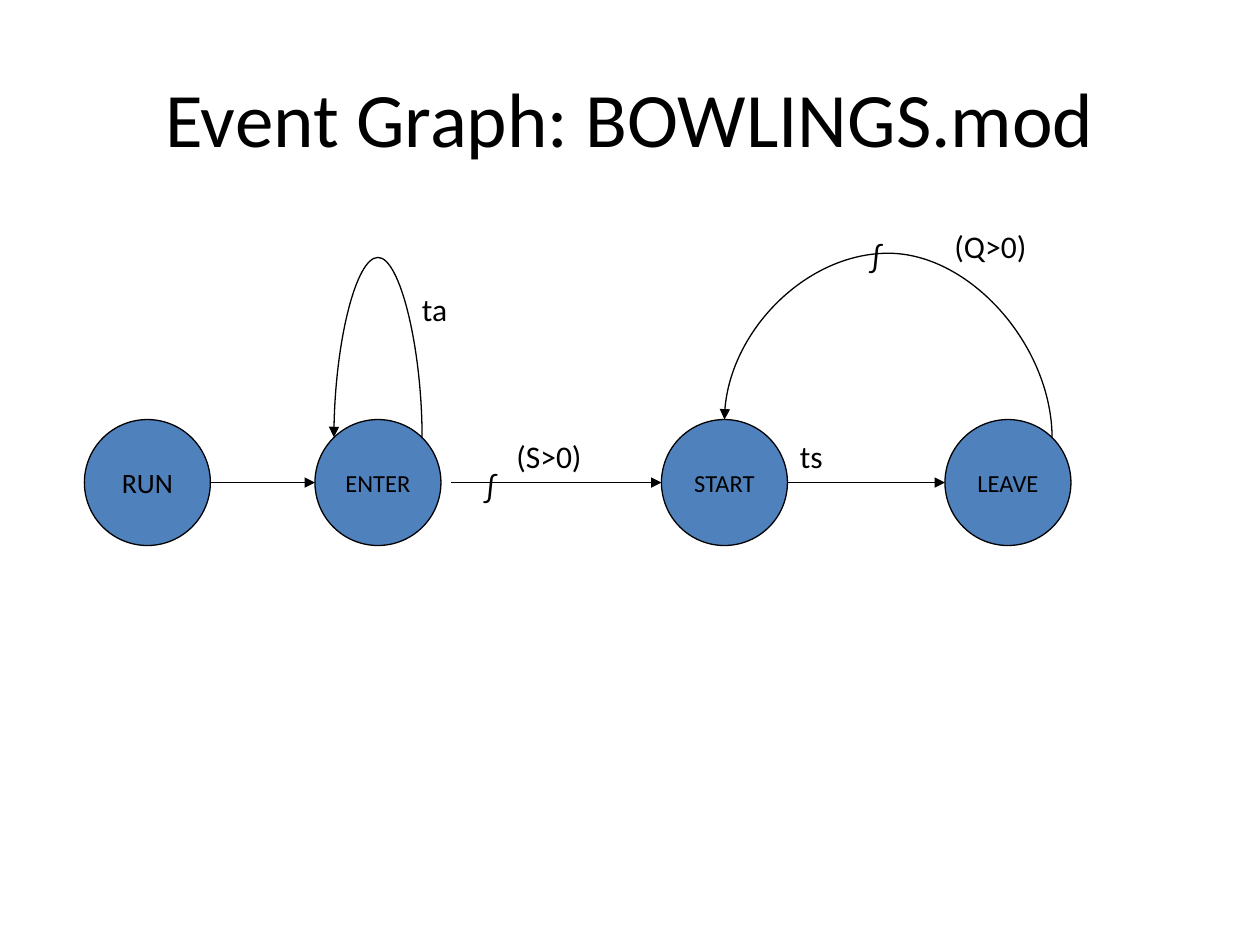
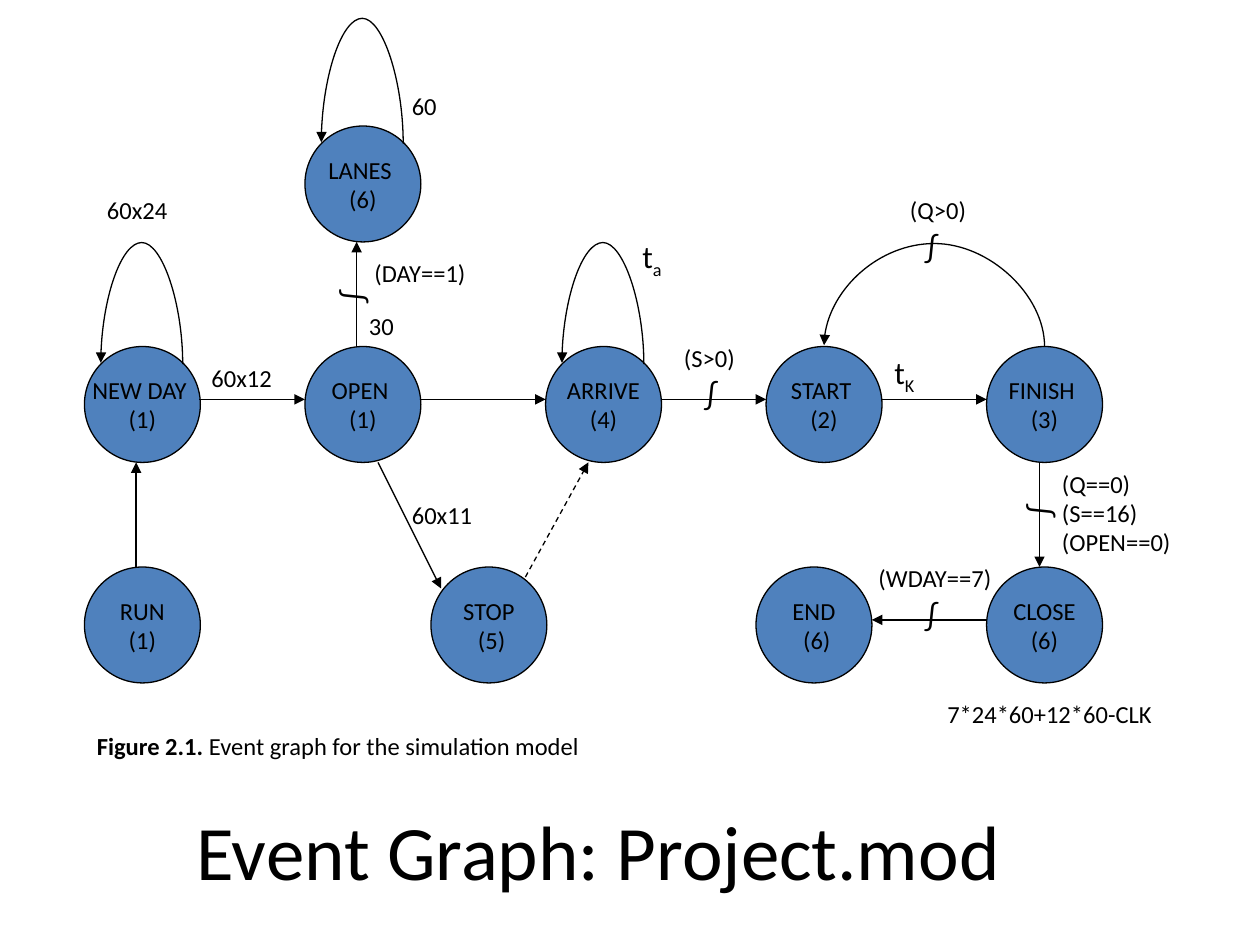
import dataclasses

import pptx
import pptx.dml.color
import pptx.enum.dml
import pptx.enum.shapes
import pptx.enum.text
import pptx.oxml
import pptx.oxml.ns
import pptx.util
from pptx.util import Inches

FONT = "Calibri"
INK = "000000"
NODE_FILL = "4F81BD"
LINE_WIDTH = 0.75
MIDDLE = pptx.enum.text.MSO_ANCHOR.MIDDLE
CENTER = pptx.enum.text.PP_ALIGN.CENTER
CONNECTOR = pptx.enum.shapes.MSO_CONNECTOR


@dataclasses.dataclass
class Box:
    """A region of the slide, in inches."""
    left: float
    top: float
    width: float
    height: float

    def place(self, x, y):
        """Turn a point of the region into a point of the slide."""
        return self.left + x, self.top + y


def color(value):
    """Return a colour from a hex string."""
    return pptx.dml.color.RGBColor.from_string(value)


def inches(*lengths):
    """Convert lengths to slide units."""
    return [Inches(length) for length in lengths]


def style(para, size, align=None):
    """Give a paragraph the shared font."""
    para.font.name = FONT
    para.font.size = pptx.util.Pt(size)
    para.font.color.rgb = color(INK)
    if align is not None:
        para.alignment = align


def write(frame, text, size, align=None):
    """Fill a text frame, one paragraph for each line."""
    frame.text = text
    for para in frame.paragraphs:
        style(para, size, align)


def add_title(page, box, text):
    """Write the slide title centred in its box."""
    shape = page.shapes.add_textbox(*inches(box.left, box.top, box.width, box.height))
    frame = shape.text_frame
    frame.word_wrap = True
    frame.vertical_anchor = MIDDLE
    write(frame, text, 44, CENTER)


def add_node(page, box, x, y, diameter, text, size=14):
    """Draw an event circle with its name."""
    shape = page.shapes.add_shape(
        pptx.enum.shapes.MSO_SHAPE.OVAL, *inches(*box.place(x, y), diameter, diameter))
    shape.shadow.inherit = False
    shape.fill.solid()
    shape.fill.fore_color.rgb = color(NODE_FILL)
    shape.line.color.rgb = color(INK)
    shape.line.width = pptx.util.Pt(LINE_WIDTH)
    frame = shape.text_frame
    frame.word_wrap = False
    frame.vertical_anchor = MIDDLE
    write(frame, text, size, CENTER)


def finish_arrow(connector):
    """Style a connector as a thin arrow without a shadow."""
    connector.line.color.rgb = color(INK)
    connector.line.width = pptx.util.Pt(LINE_WIDTH)
    properties = connector._element.spPr
    head = pptx.oxml.parse_xml(
        f'<a:tailEnd {pptx.oxml.ns.nsdecls("a")} type="triangle"/>')
    connector.line._get_or_add_ln().append(head)
    properties.append(pptx.oxml.parse_xml(
        f'<a:effectLst {pptx.oxml.ns.nsdecls("a")}/>'))


def add_arrow(page, box, start, end, dashed=False):
    """Draw a straight arrow."""
    connector = page.shapes.add_connector(
        CONNECTOR.STRAIGHT, *inches(*box.place(*start), *box.place(*end)))
    if dashed:
        connector.line.dash_style = pptx.enum.dml.MSO_LINE.DASH
    finish_arrow(connector)


def add_loop(page, box, start, end, crest):
    """Draw a curved arrow that rises to a crest and returns leftwards."""
    rise = max(start[1] - end[1], 0.01)
    span = start[0] - end[0]
    middle_x, middle_y = box.place((start[0] + end[0]) / 2, start[1] - rise / 2)
    left, top = middle_x - rise / 2, middle_y - span / 2
    connector = page.shapes.add_connector(
        CONNECTOR.CURVE, *inches(left, top, left + rise, top + span))
    properties = connector._element.spPr
    properties.xfrm.set("rot", str(270 * 60000))
    properties.xfrm.set("flipV", "1")
    bend = round((start[1] - crest) / rise * 100000)
    guides = properties.find(".//" + pptx.oxml.ns.qn("a:avLst"))
    guides.append(pptx.oxml.parse_xml(
        f'<a:gd {pptx.oxml.ns.nsdecls("a")} name="adj1" fmla="val {bend}"/>'))
    finish_arrow(connector)


def add_label(page, box, x, y, width, text, size=14, subscript="", rotation=0):
    """Write a label, with an optional subscript."""
    lines = text.count("\n") + 1
    height = 0.1 + lines * size / 60
    shape = page.shapes.add_textbox(*inches(*box.place(x, y), width, height))
    shape.rotation = rotation
    frame = shape.text_frame
    frame.word_wrap = rotation != 0
    frame.auto_size = pptx.enum.text.MSO_AUTO_SIZE.SHAPE_TO_FIT_TEXT
    write(frame, text, size)
    if subscript:
        span = frame.paragraphs[0].add_run()
        span.text = subscript
        span._r.get_or_add_rPr().set("baseline", "-25000")


def add_condition_mark(page, box, x, y, rotation=0):
    """Write the sign that marks a conditional edge."""
    add_label(page, box, x, y, 0.33 if rotation else 0.27, "∫", 18, rotation=rotation)


def add_caption(page, box, number, text):
    """Write the figure caption with a bold number."""
    shape = page.shapes.add_textbox(*inches(box.left, box.top, box.width, box.height))
    shape.text_frame.word_wrap = True
    para = shape.text_frame.paragraphs[0]
    style(para, 14)
    para.space_after = pptx.util.Pt(10)
    for part, bold in ((number, True), (text, False)):
        span = para.add_run()
        span.text = part
        span.font.bold = bold


def draw_bowling_graph(page, box):
    """Draw the four-event graph."""
    row, middle = 1.58, 2.08
    for x, name, size in ((0, "RUN", 16), (1.83, "ENTER", 14),
                          (4.58, "START", 14), (6.83, "LEAVE", 14)):
        add_node(page, box, x, row, 1, name, size)
    for start, end in ((1, 1.83), (2.91, 4.58), (5.58, 6.83)):
        add_arrow(page, box, (start, middle), (end, middle))
    add_loop(page, box, (2.68, 1.73), (1.98, 1.73), 0.27)
    add_loop(page, box, (7.68, 1.73), (5.08, row), 0.26)
    for x, y, width, text in ((2.58, 0.5, 0.41, "ta"), (3.33, 1.67, 0.82, "(S>0)"),
                              (5.58, 1.67, 0.4, "ts"), (6.75, 0, 0.92, " (Q>0)")):
        add_label(page, box, x, y, width, text, 18)
    for x, y in ((3.08, 1.91), (6.14, 0.08)):
        add_condition_mark(page, box, x, y)


def draw_project_graph(page, box):
    """Draw the nine-event graph."""
    diameter, pitch = 0.92, 1.75
    nodes = (
        (1.75, 0, "LANES \n(6)"),
        (0, 1, "NEW DAY \n(1)"), (1.75, 1, "OPEN \n(1)"), (3.66, 1, "  ARRIVE  \n(4)"),
        (5.41, 1, "START \n(2)"), (7.16, 1, "FINISH \n(3)"),
        (0, 2, "RUN\n(1)"), (2.75, 2, "STOP\n (5)"), (5.33, 2, "END\n (6)"),
        (7.16, 2, "CLOSE\n(6)"))
    for x, row, text in nodes:
        add_node(page, box, x, row * pitch, diameter, text)

    main = 2.17
    for start, end in ((0.91, 1.75), (2.66, 3.66), (4.58, 5.41), (6.33, 7.16)):
        add_arrow(page, box, (start, main), (end, main))
    for start, end in (((7.58, 2.67), (7.58, 3.5)), ((2.33, 2.67), (2.83, 3.67)),
                       ((0.41, 3.5), (0.41, 2.67)), ((2.16, 1.75), (2.16, 0.92)),
                       ((7.16, 3.92), (6.25, 3.92))):
        add_arrow(page, box, start, end)
    add_arrow(page, box, (3.5, 3.58), (4, 2.67), dashed=True)

    for x, row in ((1.75, 0), (0, 1), (3.66, 1)):
        top = row * pitch
        add_loop(page, box, (x + 0.78, top + 0.14), (x + 0.13, top + 0.13),
                 top - (0.84 if row else 0.87))
    add_loop(page, box, (7.62, 1.75), (5.87, 1.75), 0.92)

    labels = (
        (4.66, 1.67, 0.61, "(S>0)"), (6.41, 0.5, 0.69, " (Q>0)"),
        (2.5, 2.92, 0.69, "60x11"), (6.75, 4.5, 1.84, "7*24*60+12*60-CLK"),
        (0.91, 1.83, 0.69, "60x12"), (2.16, 1.42, 0.4, "30"), (2.5, -0.33, 0.4, "60"),
        (7.66, 2.67, 1.07, "(Q==0)\n(S==16)\n(OPEN==0)"),
        (2.16, 1, 0.98, " (DAY==1)"), (6.16, 3.42, 1.15, " (WDAY==7)"),
        (0.08, 0.5, 0.69, "60x24"))
    for label in labels:
        add_label(page, box, *label)
    add_label(page, box, 4.33, 0.83, 0.36, "t", 18, "a")
    add_label(page, box, 6.33, 1.75, 0.37, "t", 18, "K")
    for mark in ((4.83, 1.92), (6.58, 0.75), (6.58, 3.67),
                 (7.45, 2.88, 90), (1.95, 1.13, 270)):
        add_condition_mark(page, box, *mark)


def main():
    """Build the deck."""
    deck = pptx.Presentation()
    deck.slide_width, deck.slide_height = inches(10, 7.5)
    blank = deck.slide_layouts[6]

    page = deck.slides.add_slide(blank)
    add_title(page, Box(0.5, 0.3, 9, 1.25), "Event Graph: BOWLINGS.mod")
    draw_bowling_graph(page, Box(0.67, 1.75, 7.83, 2.58))

    page = deck.slides.add_slide(blank)
    add_title(page, Box(0.25, 6.12, 9, 1.25), "Event Graph: Project.mod")
    draw_project_graph(page, Box(0.67, 1, 8.73, 4.84))
    add_caption(page, Box(0.67, 5.75, 4.72, 0.34),
                "Figure 2.1.", " Event graph for the simulation model")

    deck.save("out.pptx")


if __name__ == "__main__":
    main()
